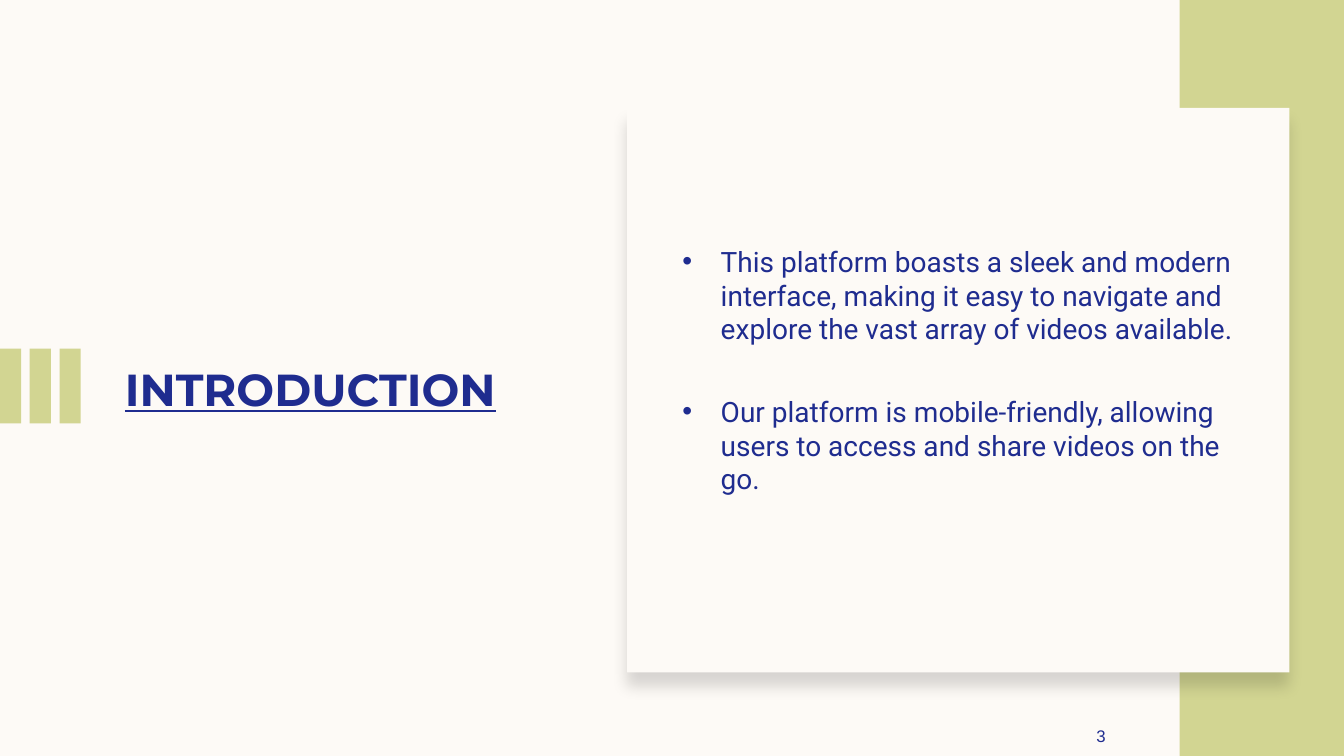
from lxml import etree
from pptx import Presentation
from pptx.dml.color import RGBColor
from pptx.enum.shapes import MSO_SHAPE
from pptx.enum.text import MSO_ANCHOR, PP_ALIGN
from pptx.oxml import parse_xml
from pptx.oxml.ns import nsdecls, qn
from pptx.util import Inches, Pt

RECT = MSO_SHAPE.RECTANGLE
MIDDLE = MSO_ANCHOR.MIDDLE
CENTER = PP_ALIGN.CENTER
COLORS = {"cream": "FDFAF6", "green": "D2D592", "navy": "1F2C8F"}

deck = Presentation()
deck.slide_width = Inches(13.33)
deck.slide_height = Inches(7.5)
slide = deck.slides.add_slide(deck.slide_layouts[6])
back = slide.background.fill
back.solid()
back.fore_color.rgb = RGBColor.from_string(COLORS["cream"])


def add_rect(left, top, width, height, color):
    rect = slide.shapes.add_shape(
        RECT, Inches(left), Inches(top), Inches(width), Inches(height))
    rect.shadow.inherit = False
    rect.fill.solid()
    rect.fill.fore_color.rgb = RGBColor.from_string(COLORS[color])
    rect.line.fill.background()
    return rect


def add_text(left, top, width, height, lines, font, size):
    box = slide.shapes.add_textbox(
        Inches(left), Inches(top), Inches(width), Inches(height))
    frame = box.text_frame
    frame.word_wrap = True
    frame.vertical_anchor = MIDDLE
    for i, line in enumerate(lines):
        para = frame.paragraphs[0] if i == 0 else frame.add_paragraph()
        run = para.add_run()
        run.text = line
        run.font.name = font
        run.font.size = Pt(size)
        run.font.color.rgb = RGBColor.from_string(COLORS["navy"])
    return frame


title = add_text(1.14, 1.46, 4.26, 4.79, ["INTRODUCTION"], "Montserrat", 32)
head = title.paragraphs[0].runs[0].font
head.bold = True
head.underline = True

for i in range(3):
    add_rect(i * 0.295, 3.46, 0.21, 0.74, "green")

add_rect(11.7, 0, 1.63, 7.5, "green")
card = add_rect(6.22, 1.07, 6.57, 5.6, "cream")
glow = card.fill._xPr.find(qn("a:effectLst"))
glow.append(parse_xml(
    f'<a:outerShdw {nsdecls("a")} blurRad="{Pt(11)}" dist="{Pt(10)}" '
    'dir="5400000" algn="t" rotWithShape="0">'
    '<a:srgbClr val="000000"><a:alpha val="15000"/></a:srgbClr>'
    '</a:outerShdw>'))

points = [
    "This platform boasts a sleek and modern interface, making it easy to "
    "navigate and explore the vast array of videos available.",
    "Our platform is mobile-friendly, allowing users to access and share "
    "videos on the go.",
]
body = add_text(6.67, 1.46, 5.75, 4.79, points, "Roboto", 20)
body.margin_bottom = Inches(0.42)
for para, gap in zip(body.paragraphs, (10, 35)):
    para.space_before = Pt(gap)
    props = para._p.get_or_add_pPr()
    props.set("marL", str(Inches(0.38)))
    props.set("indent", str(-Inches(0.38)))
    etree.SubElement(props, qn("a:buFont")).set("typeface", "Arial")
    etree.SubElement(props, qn("a:buChar")).set("char", "•")

page = add_text(10.37, 7.1, 1.1, 0.4, ["3"], "Arial", 12)
page.paragraphs[0].alignment = CENTER
page.paragraphs[0].space_after = Pt(6)

deck.save("out.pptx")
